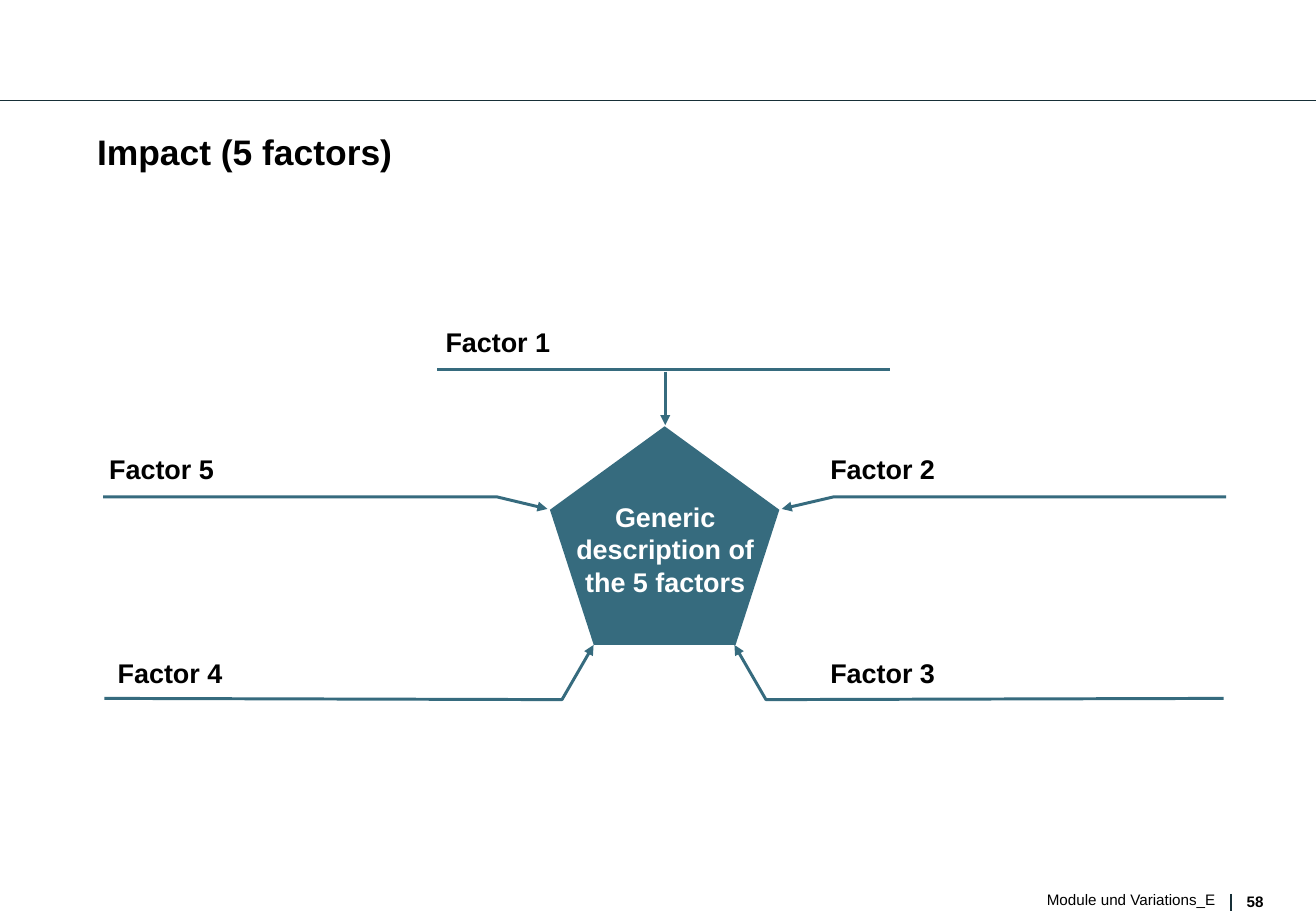
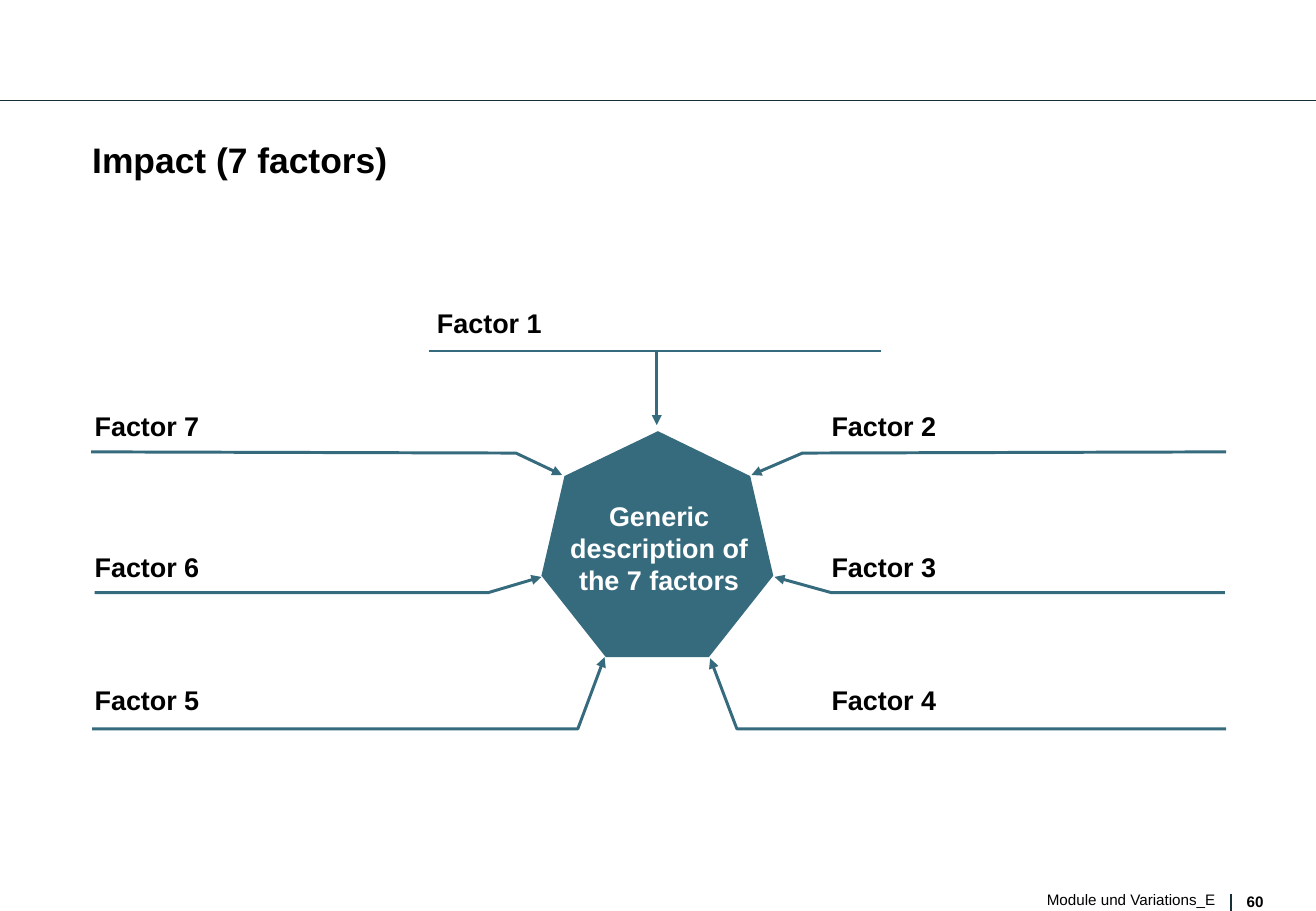
from lxml import etree
from pptx import Presentation
from pptx.dml.color import RGBColor
from pptx.enum.shapes import MSO_CONNECTOR, MSO_SHAPE
from pptx.enum.text import MSO_ANCHOR, PP_ALIGN
from pptx.oxml.ns import qn
from pptx.util import Inches, Pt

STRAIGHT = MSO_CONNECTOR.STRAIGHT
PENTAGON = MSO_SHAPE.REGULAR_PENTAGON
TOP, MIDDLE, BOTTOM = MSO_ANCHOR.TOP, MSO_ANCHOR.MIDDLE, MSO_ANCHOR.BOTTOM
LEFT, CENTER, RIGHT = PP_ALIGN.LEFT, PP_ALIGN.CENTER, PP_ALIGN.RIGHT

FONT = "Arial"
TEAL, DARK, BLACK, WHITE = "366B7E", "172F37", "000000", "FFFFFF"
SLIDE_WIDTH, SLIDE_HEIGHT = 10.84, 7.5
FOOTER = "Module und Variations_E"
LABEL_HEIGHT = 0.27

# Content: labels are (text, left, top, width);
# leaders run from the arrow tip over the bend to the outer end
SLIDES = [
    {
        "title": "Impact (5 factors)", "title_at": (0.8, 1.1), "number": "58",
        "core": "Generic description of the 5 factors", "core_at": (4.68, 4.12),
        "pentagon": (4.53, 3.51, 1.89, 1.8),
        "bar": (3.6, 7.33, 3.04), "stem": (5.48, 3.06, 3.5),
        "labels": [
            ("Factor 1", 3.67, 2.68, 3.5),
            ("Factor 2", 6.84, 3.72, 3.24),
            ("Factor 3", 6.84, 5.4, 3.24),
            ("Factor 4", 0.97, 5.4, 3.5),
            ("Factor 5", 0.9, 3.72, 3.5),
        ],
        "leaders": [
            [(6.44, 4.19), (6.87, 4.09), (10.1, 4.09)],
            [(6.05, 5.31), (6.31, 5.76), (10.08, 5.75)],
            [(4.89, 5.31), (4.63, 5.76), (0.86, 5.75)],
            [(4.51, 4.19), (4.09, 4.09), (0.85, 4.09)],
        ],
    },
    {
        "title": "Impact (7 factors)", "title_at": (0.76, 1.17), "number": "60",
        "core": "Generic description of the 7 factors", "core_at": (4.63, 4.11),
        "outline": [(4.99, 5.41), (4.46, 4.74), (4.65, 3.92), (5.42, 3.55),
                    (6.18, 3.92), (6.37, 4.74), (5.84, 5.41)],
        "bar": (3.53, 7.26, 2.89), "stem": (5.41, 2.9, 3.5),
        "labels": [
            ("Factor 1", 3.6, 2.52, 3.5),
            ("Factor 2", 6.85, 3.37, 3.24),
            ("Factor 3", 6.85, 4.53, 3.24),
            ("Factor 4", 6.85, 5.62, 3.24),
            ("Factor 5", 0.78, 5.62, 3.24),
            ("Factor 6", 0.78, 4.53, 3.24),
            ("Factor 7", 0.78, 3.37, 3.24),
        ],
        "leaders": [
            [(6.19, 3.91), (6.61, 3.73), (10.1, 3.72)],
            [(6.38, 4.75), (6.85, 4.88), (10.09, 4.88)],
            [(5.85, 5.42), (6.07, 6), (10.1, 6)],
            [(4.98, 5.41), (4.76, 6), (0.76, 6)],
            [(4.46, 4.75), (4.02, 4.88), (0.78, 4.88)],
            [(4.63, 3.91), (4.25, 3.73), (0.75, 3.72)],
        ],
    },
]


def color(value):
    return RGBColor.from_string(value)


def add_text(page, text, at, size, ink=BLACK, bold=True, align=LEFT,
             anchor=TOP, spacing=None):
    box = page.shapes.add_textbox(*map(Inches, at))
    frame = box.text_frame
    frame.word_wrap = True
    frame.vertical_anchor = anchor
    frame.margin_left = frame.margin_right = 0
    frame.margin_top = frame.margin_bottom = 0
    para = frame.paragraphs[0]
    para.alignment = align
    para.line_spacing = spacing
    span = para.add_run()
    span.text = text
    span.font.name = FONT
    span.font.size = Pt(size)
    span.font.bold = bold
    span.font.color.rgb = color(ink)


def style_line(shape, ink, width, arrow=None):
    """Colour a line; arrow is headEnd (start), tailEnd (end) or None."""
    shape.line.color.rgb = color(ink)
    shape.line.width = Pt(width)
    if arrow:
        line = shape.line._get_or_add_ln()
        etree.SubElement(line, qn("a:" + arrow), type="triangle")


def add_line(page, start, end, ink=TEAL, width=1.75, arrow=None):
    line = page.shapes.add_connector(STRAIGHT, *map(Inches, start + end))
    style_line(line, ink, width, arrow)
    etree.SubElement(line._element.spPr, qn("a:effectLst"))


def add_outline(page, points, close):
    corners = [(Inches(x), Inches(y)) for x, y in points]
    builder = page.shapes.build_freeform(*corners[0])
    builder.add_line_segments(corners[1:], close=close)
    shape = builder.convert_to_shape()
    shape.shadow.inherit = False
    return shape


def fill_core(shape):
    shape.shadow.inherit = False
    shape.fill.solid()
    shape.fill.fore_color.rgb = color(TEAL)
    shape.line.fill.background()


def add_frame(page, content):
    """Top rule, title and footer, shared by all slides."""
    add_line(page, (0, 0.83), (SLIDE_WIDTH, 0.83), DARK, 0.75)
    add_line(page, (10.14, 7.36), (10.14, SLIDE_HEIGHT), DARK, 0.75)
    add_text(page, content["number"], (10.27, 7.35, 0.17, 0.14), 9)
    add_text(page, FOOTER, (6.22, 7.33, 3.79, 0.15), 9, bold=False,
             align=RIGHT, spacing=Pt(11))
    add_text(page, content["title"], content["title_at"] + (9.36, 0.72), 21,
             spacing=0.93)


def add_diagram(page, content):
    # Central polygon and its text
    if "pentagon" in content:
        core = page.shapes.add_shape(PENTAGON, *map(Inches, content["pentagon"]))
    else:
        core = add_outline(page, content["outline"], close=True)
    fill_core(core)
    add_text(page, content["core"], content["core_at"] + (1.6, 0.8), 16,
             WHITE, align=CENTER, anchor=MIDDLE)

    # Factor labels
    for text, left, top, width in content["labels"]:
        add_text(page, text, (left, top, width, LABEL_HEIGHT), 16, anchor=BOTTOM)

    # Bent leaders pointing at the corners
    for points in content["leaders"]:
        leader = add_outline(page, points, close=False)
        leader.fill.background()
        style_line(leader, TEAL, 1.75, "headEnd")

    # Top bar with its arrow
    left, right, level = content["bar"]
    add_line(page, (left, level), (right, level))
    middle, top, tip = content["stem"]
    add_line(page, (middle, top), (middle, tip), arrow="tailEnd")


def main():
    deck = Presentation()
    deck.slide_width = Inches(SLIDE_WIDTH)
    deck.slide_height = Inches(SLIDE_HEIGHT)
    blank = deck.slide_layouts[6]
    for content in SLIDES:
        page = deck.slides.add_slide(blank)
        add_frame(page, content)
        add_diagram(page, content)
    deck.save("out.pptx")


if __name__ == "__main__":
    main()
